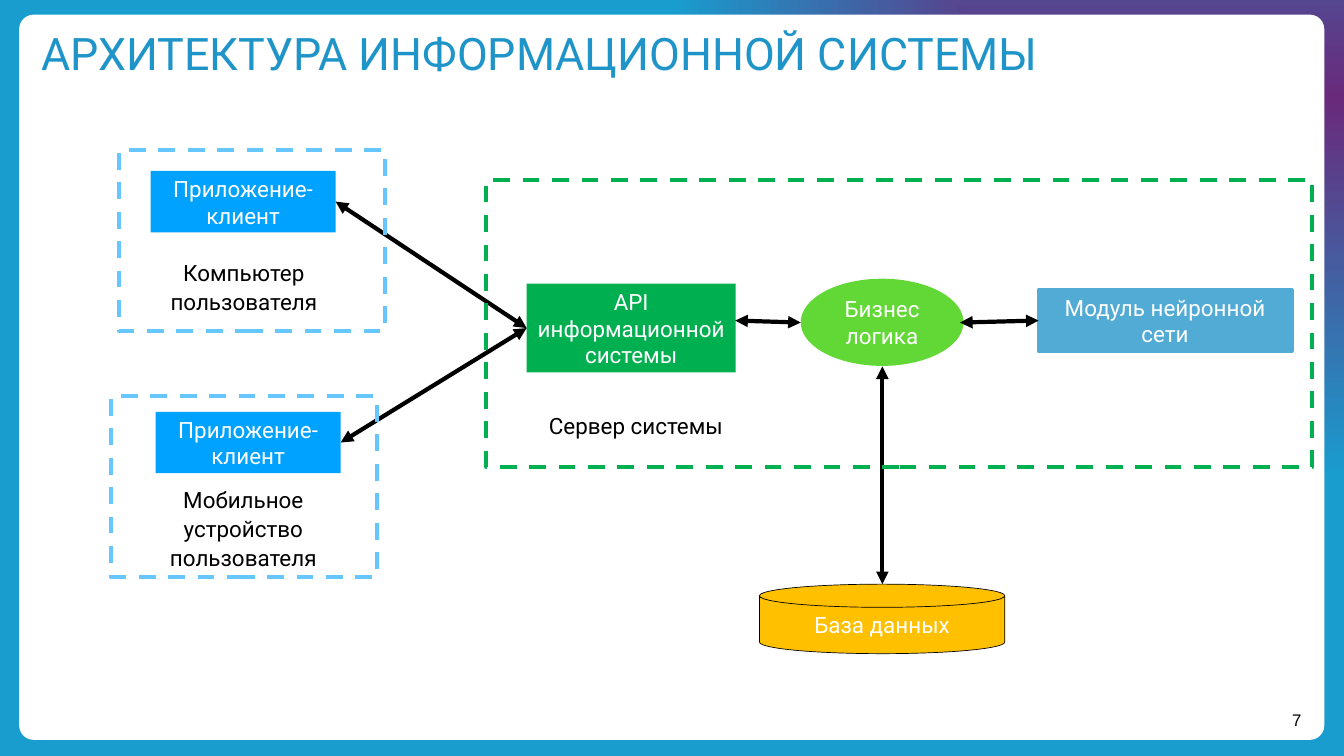
"""Build a slide with the architecture of an information system."""
import pptx
import pptx.util
import pptx.dml.color
import pptx.enum.dml
import pptx.enum.shapes
import pptx.enum.text
import pptx.oxml
import pptx.oxml.ns
import pptx.oxml.xmlchemy

Inches = pptx.util.Inches
Pt = pptx.util.Pt
RGBColor = pptx.dml.color.RGBColor
Kind = pptx.enum.shapes.MSO_SHAPE
Align = pptx.enum.text.PP_ALIGN
Anchor = pptx.enum.text.MSO_ANCHOR
qn = pptx.oxml.ns.qn

WHITE = RGBColor(0xFF, 0xFF, 0xFF)
BLACK = RGBColor(0x00, 0x00, 0x00)
PURPLE = RGBColor(0x69, 0x2A, 0x7B)
TEAL = RGBColor(0x19, 0x9C, 0xCE)
TITLE = RGBColor(0x1E, 0x94, 0xC8)
BLUE = RGBColor(0x00, 0xA2, 0xFF)
SKY = RGBColor(0x66, 0xC7, 0xFF)
STEEL = RGBColor(0x51, 0xAB, 0xD4)
GREEN = RGBColor(0x00, 0xB0, 0x50)
LIME = RGBColor(0x61, 0xD8, 0x36)
AMBER = RGBColor(0xFF, 0xC0, 0x00)

deck = pptx.Presentation()
deck.slide_width, deck.slide_height = Inches(26.67), Inches(15)
slide = deck.slides.add_slide(deck.slide_layouts[5])
shapes = slide.shapes


def add_block(kind, spot, fill=None, line=None, width=6):
    block = shapes.add_shape(kind, *map(Inches, spot))
    block.shadow.inherit = False
    if fill is None:
        block.fill.background()
    else:
        block.fill.solid()
        block.fill.fore_color.rgb = fill
    if line is None:
        block.line.fill.background()
    else:
        block.line.color.rgb = line
        block.line.width = Pt(width)
    return block


def set_text(shape, text, color, size=32, align=Align.CENTER, font="Roboto", inset=0.08):
    frame = shape.text_frame
    frame.text = text
    frame.word_wrap = True
    frame.auto_size = pptx.enum.text.MSO_AUTO_SIZE.NONE
    frame.vertical_anchor = Anchor.MIDDLE
    frame.margin_left = frame.margin_right = Inches(inset)
    frame.margin_top = frame.margin_bottom = Inches(inset)
    for para in frame.paragraphs:
        para.alignment = align
        for run in para.runs:
            run.font.name = font
            run.font.size = Pt(size)
            run.font.color.rgb = color


back = add_block(Kind.RECTANGLE, (0, 0, 26.67, 15))
back.fill.gradient()
for stop, color in zip(back.fill.gradient_stops, (PURPLE, TEAL)):
    stop.color.rgb = color
grad = back._element.spPr.find(qn("a:gradFill"))
grad.remove(grad.find(qn("a:lin")))
grad.append(pptx.oxml.parse_xml(
    f'<a:path {pptx.oxml.ns.nsdecls("a")} path="rect">'
    '<a:fillToRect l="100000" t="13000" r="0" b="87000"/></a:path>'))

panel = add_block(Kind.ROUNDED_RECTANGLE, (0.38, 0.29, 25.9, 14.39), WHITE)
panel.adjustments[0] = 0.02

title = shapes.title
shapes._spTree.append(title._element)
title.left, title.top, title.width, title.height = map(Inches, (0.74, 0.44, 25.11, 1.22))
set_text(title, "АРХИТЕКТУРА ИНФОРМАЦИОННОЙ СИСТЕМЫ", TITLE, 64, Align.LEFT)

number = shapes.add_textbox(*map(Inches, (25.5, 14.05, 0.47, 0.47)))
set_text(number, "7", BLACK, 24, font="Arial", inset=0.03)

nodes = {}
for name, kind, spot, fill, line, width, text in (
    ("logic", Kind.OVAL, (15.89, 5.53, 3.23, 1.73), LIME, None, 0, "Бизнес логика"),
    ("base", Kind.FLOWCHART_MAGNETIC_DISK, (15.07, 11.59, 4.87, 1.38), AMBER, BLACK, 1, "База данных"),
    ("neural", Kind.FLOWCHART_PROCESS, (20.61, 5.75, 5.02, 1.22), STEEL, STEEL, 6, "Модуль нейронной\nсети"),
    ("api", Kind.RECTANGLE, (10.45, 5.63, 4.15, 1.76), GREEN, None, 0, "API\vинформационной системы"),
    ("desktop", Kind.RECTANGLE, (2.99, 3.39, 3.67, 1.22), BLUE, None, 0, "Приложение-клиент"),
    ("mobile", Kind.RECTANGLE, (3.09, 8.17, 3.67, 1.22), BLUE, None, 0, "Приложение-клиент"),
):
    nodes[name] = add_block(kind, spot, fill, line, width)
    set_text(nodes[name], text, WHITE)

for ends, begin, end in (
    ((6.66, 4, 10.45, 6.51), ("desktop", 3), ("api", 1)),
    ((6.76, 8.78, 10.45, 6.51), ("mobile", 3), ("api", 1)),
    ((14.59, 6.36, 15.89, 6.4), None, None),
    ((17.51, 11.59, 17.51, 7.27), None, None),
    ((19.05, 6.4, 20.61, 6.36), None, ("neural", 1)),
):
    arrow = shapes.add_connector(pptx.enum.shapes.MSO_CONNECTOR.STRAIGHT, *map(Inches, ends))
    if begin:
        arrow.begin_connect(nodes[begin[0]], begin[1])
    if end:
        arrow.end_connect(nodes[end[0]], end[1])
    arrow.line.color.rgb = BLACK
    arrow.line.width = Pt(6)
    for tag in ("a:headEnd", "a:tailEnd"):
        tip = pptx.oxml.xmlchemy.OxmlElement(tag)
        tip.set("type", "triangle")
        arrow.line._get_or_add_ln().append(tip)
    arrow._element.spPr.append(pptx.oxml.xmlchemy.OxmlElement("a:effectLst"))

for spot, color, place, text in (
    ((2.36, 2.98, 5.28, 3.59), SKY, (2.62, 5.06, 4.44, 1.24), "Компьютер пользователя"),
    ((2.2, 7.86, 5.28, 3.59), SKY, (2.61, 9.56, 4.44, 1.81), "Мобильное устройство пользователя"),
    ((9.65, 3.57, 16.39, 5.69), GREEN, (10.4, 8.09, 4.44, 0.67), "Сервер системы"),
):
    zone = add_block(Kind.RECTANGLE, spot, line=color)
    zone.line.dash_style = pptx.enum.dml.MSO_LINE.DASH
    label = shapes.add_textbox(*map(Inches, place))
    set_text(label, text, BLACK)
    frame = label.text_frame
    frame.vertical_anchor = Anchor.TOP
    frame.margin_left = frame.margin_right = Inches(0.1)
    frame.margin_top = frame.margin_bottom = Inches(0.05)
    frame.paragraphs[0].line_spacing = 1.07
    frame.paragraphs[0].space_after = Pt(8)

deck.save("out.pptx")
